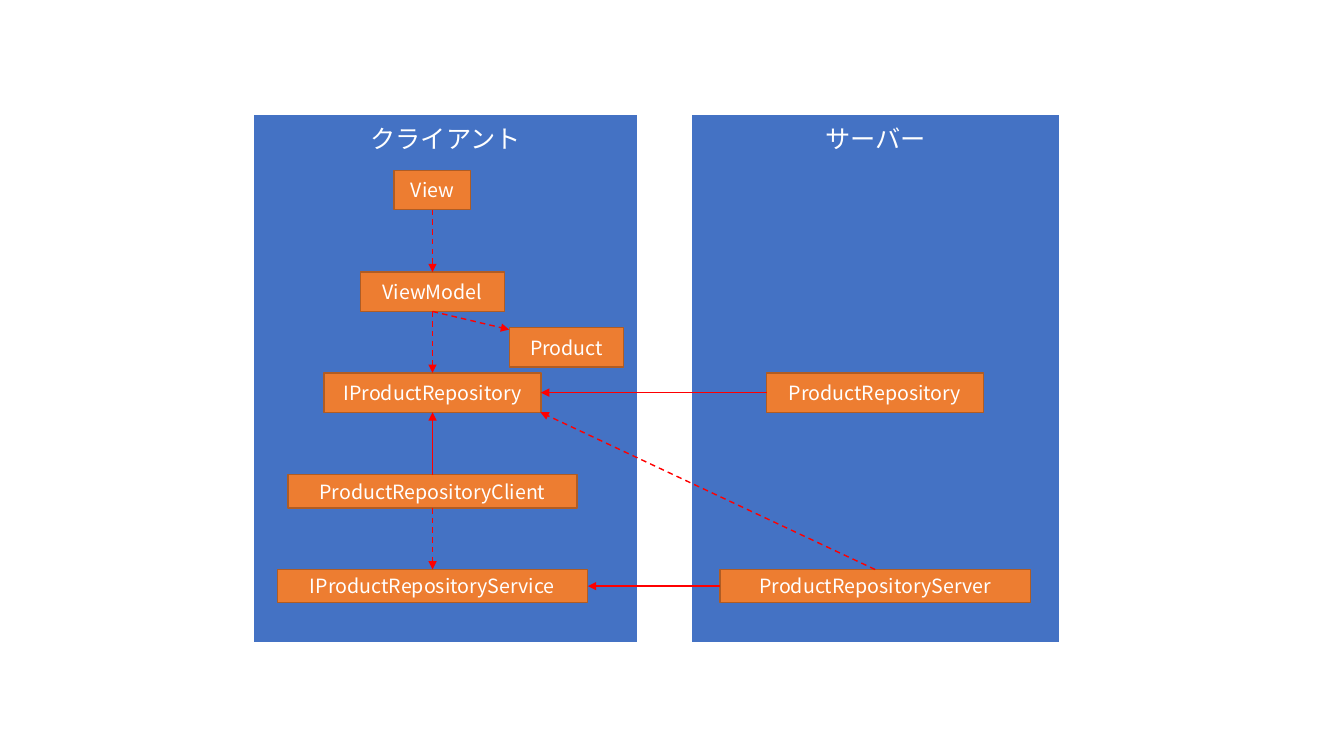
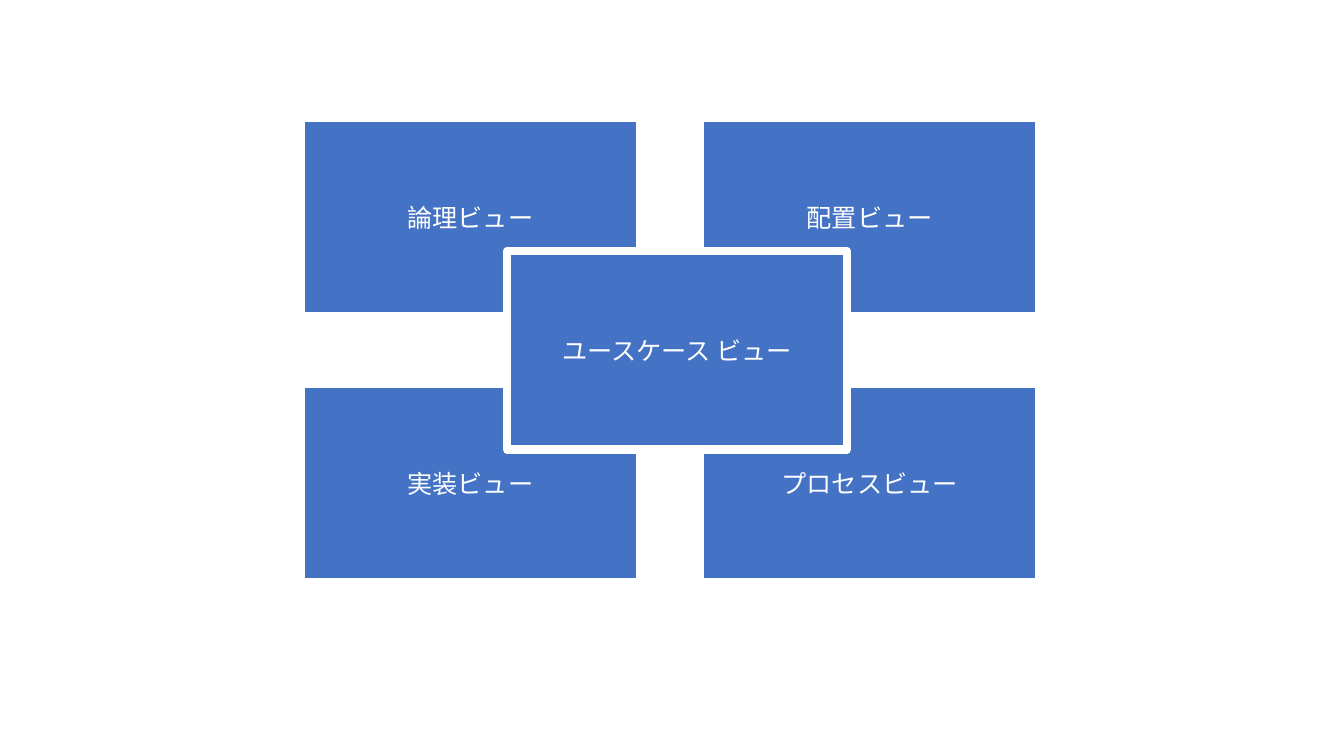
import dataclasses

import pptx
import pptx.dml.color
import pptx.enum.dml
import pptx.enum.shapes
import pptx.enum.text
import pptx.oxml
import pptx.oxml.ns
import pptx.util
from lxml import etree

Inches = pptx.util.Inches
Pt = pptx.util.Pt
Anchor = pptx.enum.text.MSO_ANCHOR
qn = pptx.oxml.ns.qn
TOP, LEFT, BOTTOM, RIGHT = range(4)


@dataclasses.dataclass(frozen=True)
class Theme:
    font: str = "Noto Sans CJK JP"
    white: str = "FFFFFF"
    blue: str = "4472C4"
    orange: str = "ED7D31"
    brown: str = "AF5C24"
    red: str = "FF0000"
    large: int = 18
    small: int = 14
    thick: int = 6
    thin: int = 1


def rgb(code):
    return pptx.dml.color.RGBColor.from_string(code)


class Deck:
    """Holds the style and the slide being drawn."""

    def __init__(self, theme):
        self.theme = theme
        self.prs = pptx.Presentation()
        self.prs.slide_width = Inches(13.33)
        self.prs.slide_height = Inches(7.5)
        self.slide = None

    def page(self):
        blank = self.prs.slide_layouts[6]
        self.slide = self.prs.slides.add_slide(blank)

    def rect(self, at, fill, edge, width, text, size):
        kind = pptx.enum.shapes.MSO_SHAPE.RECTANGLE
        shape = self.slide.shapes.add_shape(kind, *map(Inches, at))
        shape.shadow.inherit = False
        shape.fill.solid()
        shape.fill.fore_color.rgb = rgb(fill)
        shape.line.color.rgb = rgb(edge)
        shape.line.width = Pt(width)
        frame = shape.text_frame
        frame.word_wrap = True
        frame.vertical_anchor = Anchor.MIDDLE
        para = frame.paragraphs[0]
        para.alignment = pptx.enum.text.PP_ALIGN.CENTER
        run = para.add_run()
        run.text = text
        run.font.size = Pt(size)
        run.font.name = self.theme.font
        run.font.color.rgb = rgb(self.theme.white)
        asian = etree.SubElement(run.font._element, qn("a:ea"))
        asian.set("typeface", self.theme.font)
        return shape

    def panel(self, text, at):
        t = self.theme
        return self.rect(at, t.blue, t.white, t.thick, text, t.large)

    def zone(self, text, at):
        """Draw a panel with its heading at the top."""
        frame = self.panel(text, at).text_frame
        frame.vertical_anchor = Anchor.TOP
        frame.margin_left = frame.margin_right = Inches(0.12)
        frame.margin_top = frame.margin_bottom = Inches(0.12)

    def box(self, text, mid, top, width, height=0.39):
        """Draw a class box centred on the line x = mid."""
        t = self.theme
        at = (mid - width / 2, top, width, height)
        return self.rect(at, t.orange, t.brown, t.thin, text, t.small)

    def arrow(self, start, side, end, goal, dash=False):
        """Join a side of start to a side of end, or to a point if goal is None."""
        x, y = (0, 0) if goal is not None else map(Inches, end)
        kind = pptx.enum.shapes.MSO_CONNECTOR.STRAIGHT
        link = self.slide.shapes.add_connector(kind, 0, 0, x, y)
        link.begin_connect(start, side)
        if goal is not None:
            link.end_connect(end, goal)
        link.line.color.rgb = rgb(self.theme.red)
        link.line.width = Pt(self.theme.thin)
        if dash:
            link.line.dash_style = pptx.enum.dml.MSO_LINE.DASH
        props = link.element.spPr
        head = etree.SubElement(props.find(qn("a:ln")), qn("a:tailEnd"))
        head.set("type", "triangle")
        etree.SubElement(props, qn("a:effectLst"))


def classes(deck):
    deck.page()
    deck.zone("クライアント", (2.48, 1.1, 3.88, 5.31))
    deck.zone("サーバー", (6.82, 1.1, 3.73, 5.31))

    client, server = 4.29, 8.68
    view = deck.box("View", client, 1.69, 0.76)
    model = deck.box("ViewModel", client, 2.7, 1.43)
    deck.box("Product", 5.62, 3.25, 1.13)
    repo = deck.box("IProductRepository", client, 3.7, 2.15)
    store = deck.box("ProductRepository", server, 3.7, 2.15)
    proxy = deck.box("ProductRepositoryClient", client, 4.71, 2.87, 0.33)
    service = deck.box("IProductRepositoryService", client, 5.65, 3.08, 0.33)
    host = deck.box("ProductRepositoryServer", server, 5.65, 3.08, 0.33)

    for start, end in ((view, model), (model, repo), (proxy, service)):
        deck.arrow(start, BOTTOM, end, TOP, dash=True)
    deck.arrow(model, BOTTOM, (5.05, 3.27), None, dash=True)
    deck.arrow(host, TOP, (5.36, 4.09), None, dash=True)
    deck.arrow(proxy, TOP, repo, BOTTOM)
    for start, end in ((store, repo), (host, service)):
        deck.arrow(start, LEFT, end, RIGHT)


def views(deck):
    deck.page()
    size = (3.37, 1.97)
    grid = (("論理ビュー", "実装ビュー"), ("配置ビュー", "プロセスビュー"))
    for col, names in enumerate(grid):
        for row, name in enumerate(names):
            deck.panel(name, (2.98 + 3.96 * col, 1.17 + 2.64 * row, *size))
    deck.panel("ユースケース ビュー", (5.03, 2.49, *size))


def main():
    deck = Deck(Theme())
    classes(deck)
    views(deck)
    deck.prs.save("out.pptx")


if __name__ == "__main__":
    main()
